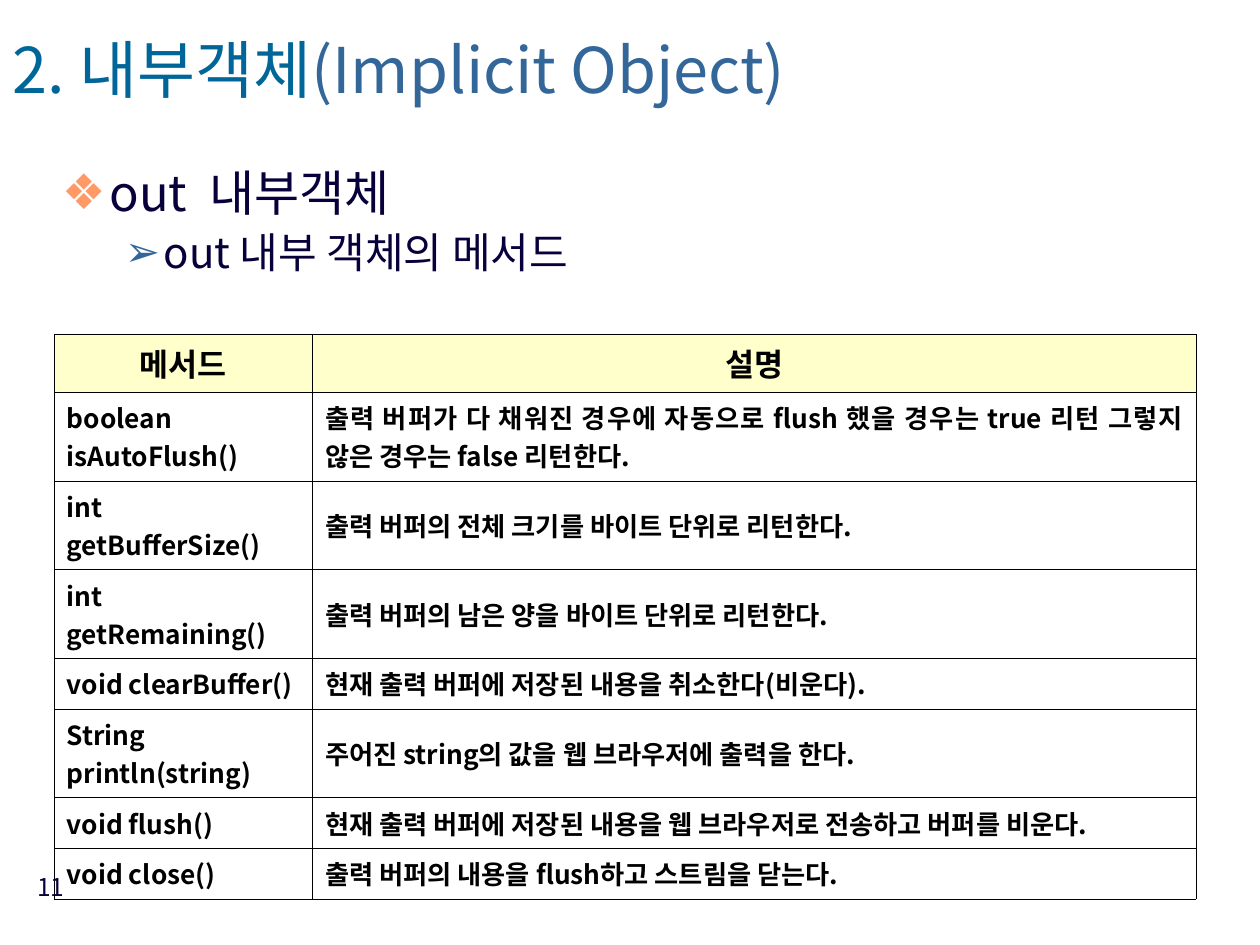
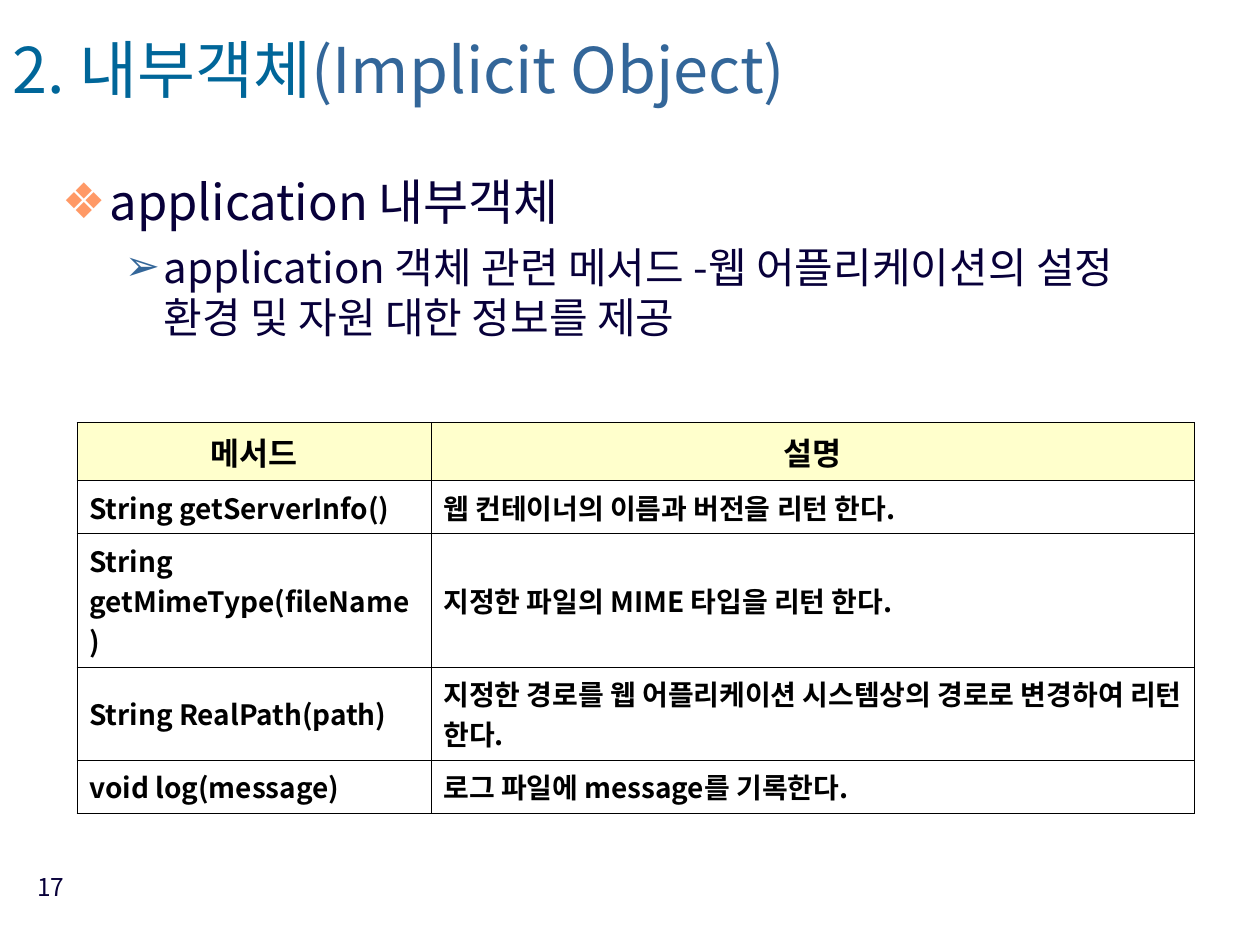
"""Builds two slides on JSP implicit objects and their methods."""
import dataclasses

import pptx
import pptx.dml.color
import pptx.enum.text
import pptx.oxml
import pptx.oxml.ns
import pptx.util
from lxml import etree

Inches, Pt = pptx.util.Inches, pptx.util.Pt
Align, Anchor = pptx.enum.text.PP_ALIGN, pptx.enum.text.MSO_ANCHOR
qn = pptx.oxml.ns.qn


@dataclasses.dataclass(frozen=True)
class Theme:
    """Font, colours and type sizes shared by the slides."""
    font: str = "Noto Sans CJK KR"
    title: str = "006699"
    accent: str = "336699"
    text: str = "08003A"
    bullet: str = "FF9966"
    table_text: str = "000000"
    header_fill: str = "FFFFCC"
    cell_fill: str = "FFFFFF"
    border_pt: float = 0.06
    title_pt: int = 36
    heading_pt: int = 28
    point_pt: int = 24
    header_pt: int = 18
    number_pt: int = 14


THEME = Theme()
TITLE = [("2. 내부객체", THEME.title), ("(Implicit Object)", THEME.accent)]
HEADER = ("메서드", "설명")
LEVELS = [
    dict(bullet="❖", color=THEME.bullet, size=THEME.heading_pt, left=0.38, hang=0.38, before=7),
    dict(bullet="➢", color=THEME.accent, size=THEME.point_pt, left=0.81, hang=0.31, before=6),
]
SLIDES = [
    dict(
        number="11",
        points=["out  내부객체", "out 내부 객체의 메서드"],
        spacing=(0.9, 0.9),
        body=(0.39, 1.29, 9.21, 1.02),
        table_at=(0.43, 2.65),
        cols=(2.05, 7.01),
        row_heights=(0.46, 0.7, 0.67, 0.67, 0.4, 0.67, 0.4, 0.4),
        size=15,
        methods=[
            ("boolean isAutoFlush()",
             "출력 버퍼가 다 채워진 경우에 자동으로 flush 했을 경우는 true 리턴 그렇지 않은 경우는 false 리턴한다."),
            ("int getBufferSize()", "출력 버퍼의 전체 크기를 바이트 단위로 리턴한다."),
            ("int getRemaining()", "출력 버퍼의 남은 양을 바이트 단위로 리턴한다."),
            ("void clearBuffer()", "현재 출력 버퍼에 저장된 내용을 취소한다(비운다)."),
            ("String println(string)", "주어진 string의 값을 웹 브라우저에 출력을 한다."),
            ("void flush()", "현재 출력 버퍼에 저장된 내용을 웹 브라우저로 전송하고 버퍼를 비운다."),
            ("void close()", "출력 버퍼의 내용을 flush하고 스트림을 닫는다."),
        ],
    ),
    dict(
        number="17",
        points=["application 내부객체",
                "application 객체 관련 메서드 -웹 어플리케이션의 설정 환경 및 자원 대한 정보를 제공"],
        spacing=(0.9, 1.0),
        body=(0.39, 1.36, 9.21, 1.5),
        table_at=(0.61, 3.35),
        cols=(2.81, 6.06),
        row_heights=(0.46, 0.42, 1.01, 0.74, 0.42),
        size=16,
        methods=[
            ("String getServerInfo()", "웹 컨테이너의 이름과 버전을 리턴 한다."),
            ("String getMimeType(fileName)", "지정한 파일의 MIME 타입을 리턴 한다."),
            ("String RealPath(path)", "지정한 경로를 웹 어플리케이션 시스템상의 경로로 변경하여 리턴 한다."),
            ("void log(message)", "로그 파일에 message를 기록한다."),
        ],
    ),
]


def rgb(color):
    """Turns a hex string into a colour."""
    return pptx.dml.color.RGBColor.from_string(color)


def style_run(r, size, color, bold=False):
    """Formats a run, for Latin and East Asian letters alike."""
    r.font.size, r.font.bold, r.font.name = Pt(size), bold, THEME.font
    r.font.color.rgb = rgb(color)
    ea = etree.Element(qn("a:ea"), typeface=THEME.font)
    r.font._element.find(qn("a:latin")).addnext(ea)


def place(sp, left, top, width, height):
    """Moves and sizes a shape given in inches."""
    sp.left, sp.top, sp.width, sp.height = map(Inches, (left, top, width, height))
    sp.text_frame.word_wrap = True
    sp.text_frame.auto_size = pptx.enum.text.MSO_AUTO_SIZE.NONE


def solid_fill(parent, tag, color, **attrs):
    """Adds an element that holds a solid colour."""
    el = etree.SubElement(parent, qn(tag), **attrs)
    fill = etree.SubElement(el, qn("a:solidFill"))
    etree.SubElement(fill, qn("a:srgbClr"), val=color)
    return el


def add_title(s):
    """Fills the two-coloured title."""
    sp = s.shapes.title
    place(sp, 0, 0.28, 8.54, 0.67)
    sp.text_frame.vertical_anchor = Anchor.MIDDLE
    p = sp.text_frame.paragraphs[0]
    p.alignment, p.line_spacing = Align.LEFT, 0.7
    for text, color in TITLE:
        r = p.add_run()
        r.text = text
        style_run(r, THEME.title_pt, color)


def add_points(s, points, spacing, box):
    """Fills the body with one bullet for each level."""
    sp = s.placeholders[1]
    place(sp, *box)
    tf = sp.text_frame
    tf.text = "\n".join(points)
    for i, (p, look) in enumerate(zip(tf.paragraphs, LEVELS)):
        p.level, p.line_spacing = i, spacing[i]
        p.space_before = Pt(look["before"])
        style_run(p.runs[0], look["size"], THEME.text)
        pPr = p._p.get_or_add_pPr()
        pPr.set("marL", str(Inches(look["left"])))
        pPr.set("indent", str(-Inches(look["hang"])))
        clr = etree.SubElement(pPr, qn("a:buClr"))
        etree.SubElement(clr, qn("a:srgbClr"), val=look["color"])
        etree.SubElement(pPr, qn("a:buChar"), char=look["bullet"])


def style_cell(cell, size, fill, align):
    """Formats one cell with its fill and thin borders."""
    cell.vertical_anchor = Anchor.MIDDLE
    cell.fill.solid()
    cell.fill.fore_color.rgb = rgb(fill)
    p = cell.text_frame.paragraphs[0]
    p.alignment = align
    style_run(p.runs[0], size, THEME.table_text, bold=True)
    tcPr = cell._tc.get_or_add_tcPr()
    for i, side in enumerate("LRTB"):
        ln = solid_fill(tcPr, f"a:ln{side}", THEME.table_text, w=str(Pt(THEME.border_pt)))
        tcPr.insert(i, ln)


def add_methods(s, spec_rows, at, cols, heights, size):
    """Adds the table of methods and descriptions."""
    rows = [HEADER, *spec_rows]
    box = map(Inches, (*at, sum(cols), sum(heights)))
    table = s.shapes.add_table(len(rows), len(cols), *box).table
    for column, width in zip(table.columns, cols):
        column.width = Inches(width)
    for i, (texts, height) in enumerate(zip(rows, heights)):
        table.rows[i].height = Inches(height)
        look = ((size, THEME.cell_fill, Align.JUSTIFY) if i
                else (THEME.header_pt, THEME.header_fill, Align.CENTER))
        for cell, text in zip(table.rows[i].cells, texts):
            cell.text_frame.text = text
            style_cell(cell, *look)


def add_number(s, number):
    """Adds the page number at the lower left."""
    sp = s.shapes.add_textbox(0, 0, 0, 0)
    place(sp, 0.14, 6.87, 0.47, 0.52)
    p = sp.text_frame.paragraphs[0]
    p.text, p.alignment = number, Align.RIGHT
    style_run(p.runs[0], THEME.number_pt, THEME.text)


def main():
    """Builds and saves the presentation."""
    prs = pptx.Presentation()
    prs.slide_width, prs.slide_height = Inches(10), Inches(7.5)
    for page in SLIDES:
        s = prs.slides.add_slide(prs.slide_layouts[1])
        add_title(s)
        add_points(s, page["points"], page["spacing"], page["body"])
        add_methods(s, page["methods"], page["table_at"], page["cols"],
                    page["row_heights"], page["size"])
        add_number(s, page["number"])
    prs.save("out.pptx")


if __name__ == "__main__":
    main()
